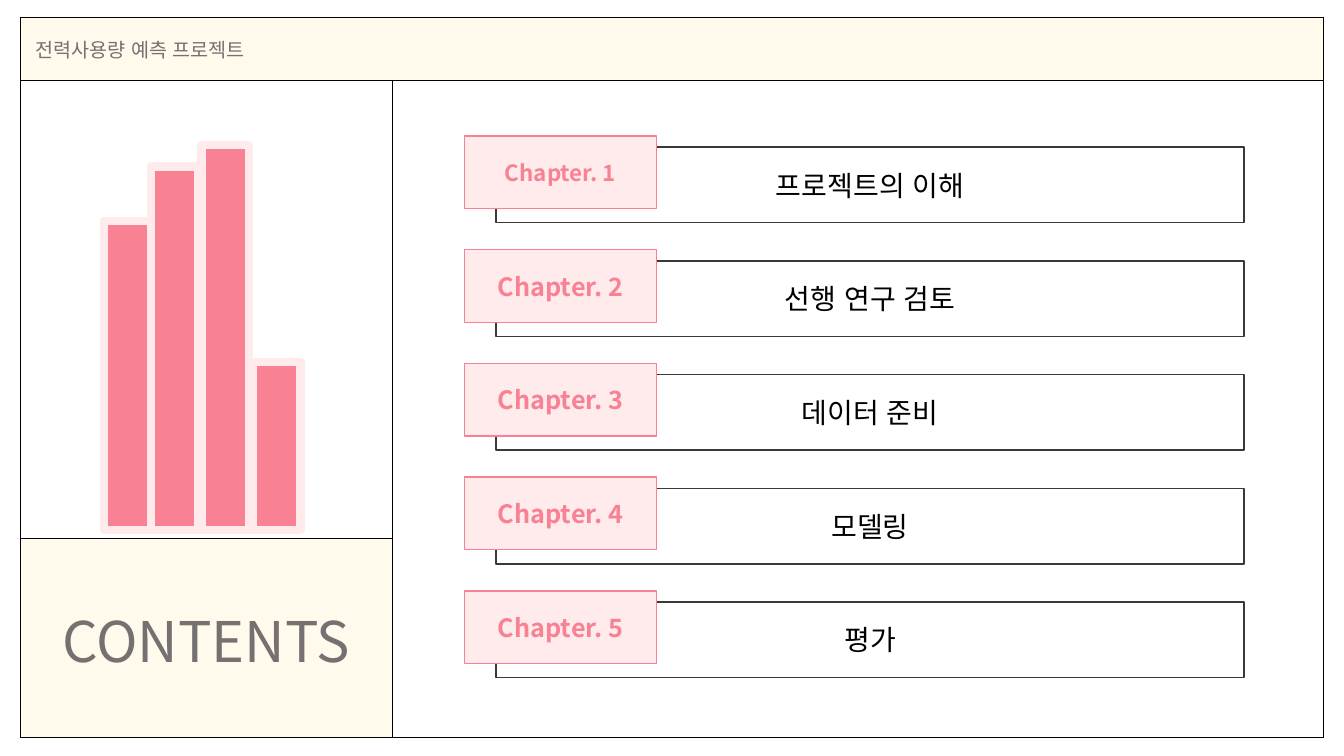
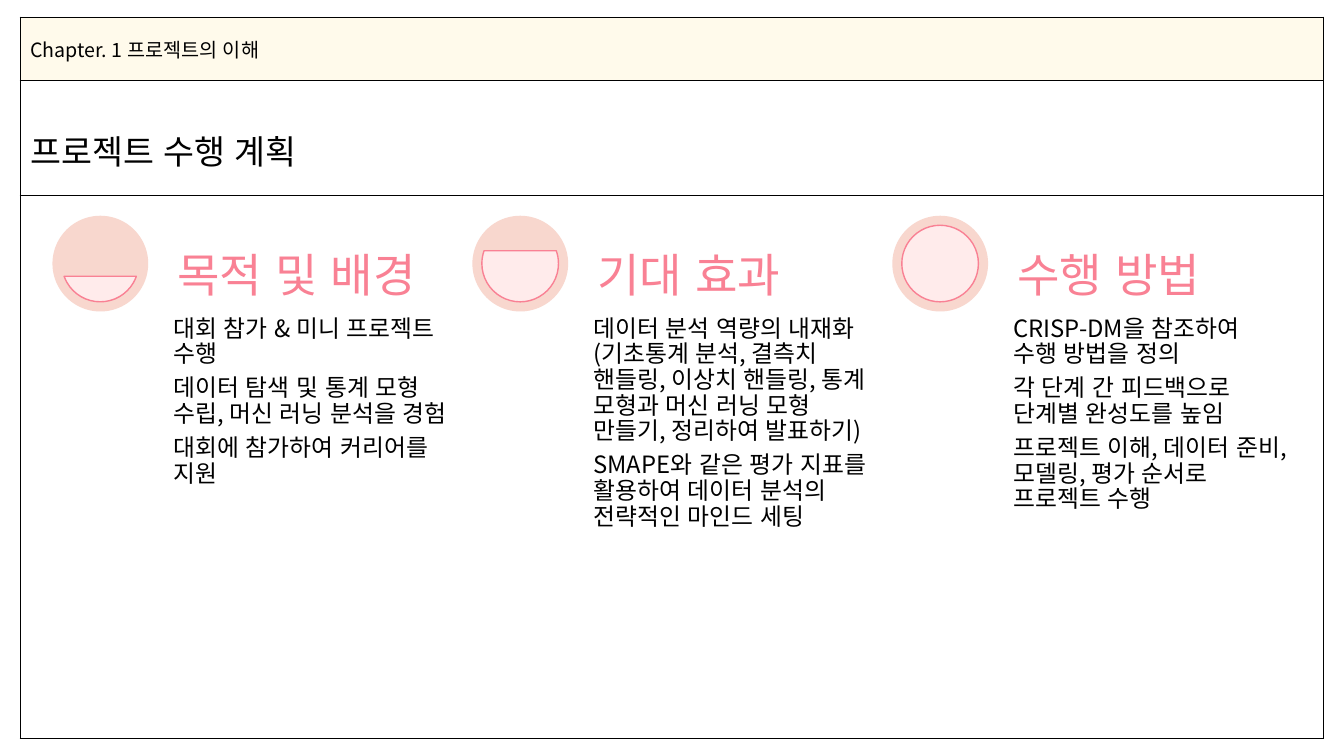
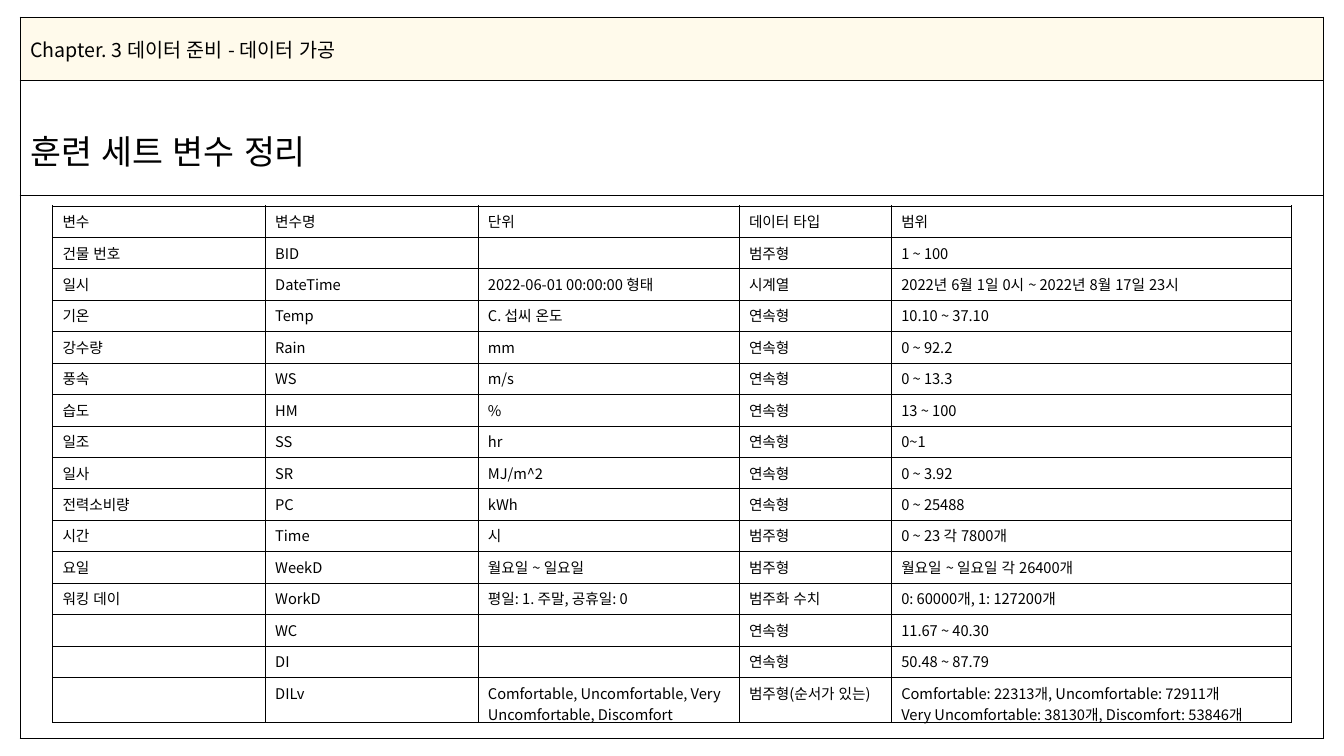
import pptx
import pptx.dml.color
import pptx.enum.lang
import pptx.enum.shapes
import pptx.enum.text
import pptx.oxml
import pptx.oxml.ns
import pptx.util
import lxml.etree

Inches = pptx.util.Inches
Pt = pptx.util.Pt
color = pptx.dml.color.RGBColor.from_string
qn = pptx.oxml.ns.qn
MIDDLE = pptx.enum.text.MSO_ANCHOR.MIDDLE
CENTER = pptx.enum.text.PP_ALIGN.CENTER
SHAPES = pptx.enum.shapes.MSO_SHAPE

FONT = "Noto Sans CJK KR"
BLACK = "000000"
GRAY = "767171"
CHARCOAL = "3B3838"
CREAM = "FFFAEB"
PINK = "F98194"
PALE_PINK = "FFEBEB"
PEACH = "F8D7CE"

FRAME_LEFT, FRAME_TOP, FRAME_WIDTH = 0.2, 0.17, 12.93
HEADER_HEIGHT = 0.63
PAGE_ROWS = [HEADER_HEIGHT, 1.14, 5.39]


def write(text_frame, text, size, text_color=BLACK, bold=False, align=None, spacing=None, after=None):
    text_frame.text = text
    text_frame.word_wrap = True
    for paragraph in text_frame.paragraphs:
        paragraph.alignment = align
        paragraph.line_spacing = spacing
        paragraph.space_after = after
        if not paragraph.runs:
            paragraph._p.get_or_add_endParaRPr().set("sz", str(int(size * 100)))
        for run in paragraph.runs:
            run.font.name = FONT
            run.font.size = Pt(size)
            run.font.bold = bold
            run.font.color.rgb = color(text_color)
            run.font.language_id = pptx.enum.lang.MSO_LANGUAGE_ID.KOREAN
            east_asian = lxml.etree.Element(qn("a:ea"), typeface=FONT)
            run.font._element.find(qn("a:latin")).addnext(east_asian)


def add_grid(slide, left, top, widths, heights, line_width):
    table = slide.shapes.add_table(
        len(heights), len(widths), Inches(left), Inches(top), Inches(sum(widths)), Inches(sum(heights))
    ).table
    table.first_row = False
    table.horz_banding = False
    for column, width in zip(table.columns, widths):
        column.width = Inches(width)
    for row, height in zip(table.rows, heights):
        row.height = Inches(height)
    for cell in table.iter_cells():
        cell.fill.background()
        properties = cell._tc.get_or_add_tcPr()
        for position, side in enumerate(["a:lnL", "a:lnR", "a:lnT", "a:lnB"]):
            border = lxml.etree.Element(qn(side), w=str(Pt(line_width)))
            fill = lxml.etree.SubElement(border, qn("a:solidFill"))
            lxml.etree.SubElement(fill, qn("a:srgbClr"), val=BLACK)
            properties.insert(position, border)
    return table


presentation = pptx.Presentation()
presentation.slide_width = Inches(13.33)
presentation.slide_height = Inches(7.5)
contents_slide, plan_slide, variables_slide = [
    presentation.slides.add_slide(presentation.slide_layouts[6]) for _ in range(3)
]

contents_frame = add_grid(
    contents_slide, FRAME_LEFT, FRAME_TOP, [3.69, FRAME_WIDTH - 3.69], [HEADER_HEIGHT, 4.54, 1.98], 1
)
contents_frame.cell(0, 0).merge(contents_frame.cell(0, 1))
contents_frame.cell(1, 1).merge(contents_frame.cell(2, 1))
header_cell = contents_frame.cell(0, 0)
contents_cell = contents_frame.cell(2, 0)
write(header_cell.text_frame, "전력사용량 예측 프로젝트", 14, GRAY)
header_cell.margin_left = Inches(0.15)
write(contents_cell.text_frame, "CONTENTS", 40, GRAY, align=CENTER)
for cell in [header_cell, contents_cell]:
    cell.fill.solid()
    cell.fill.fore_color.rgb = color(CREAM)
    cell.vertical_anchor = MIDDLE

rectangles = []
chapters = ["프로젝트의 이해", "선행 연구 검토", "데이터 준비", "모델링", "평가"]
for index, chapter in enumerate(chapters):
    top = 1.35 + index * 1.128
    label_size = 16 if index == 0 else 18
    rectangles.append((4.92, top + 0.11, 7.42, 0.75, None, CHARCOAL, 1, chapter, 20, BLACK, False))
    rectangles.append((4.61, top, 1.9, 0.72, PALE_PINK, PINK, 1, f"Chapter. {index + 1}", label_size, PINK, True))
for left, height in [(1.03, 3.07), (1.5, 3.61), (2, 3.82), (2.51, 1.67)]:
    rectangles.append((left, 5.26 - height, 0.47, height, PINK, PALE_PINK, 6, "", 18, BLACK, False))

for left, top, width, height, fill, line, line_width, text, size, text_color, bold in rectangles:
    shape = contents_slide.shapes.add_shape(
        SHAPES.RECTANGLE, Inches(left), Inches(top), Inches(width), Inches(height)
    )
    shape.shadow.inherit = False
    if fill:
        shape.fill.solid()
        shape.fill.fore_color.rgb = color(fill)
    else:
        shape.fill.background()
    shape.line.color.rgb = color(line)
    shape.line.width = Pt(line_width)
    if text:
        write(shape.text_frame, text, size, text_color, bold, CENTER)

pages = [
    (plan_slide, "Chapter. 1 프로젝트의 이해", "프로젝트 수행 계획"),
    (variables_slide, "Chapter. 3 데이터 준비 - 데이터 가공", "훈련 세트 변수 정리"),
]
for slide, header, title in pages:
    frame = add_grid(slide, FRAME_LEFT, FRAME_TOP, [FRAME_WIDTH], PAGE_ROWS, 1)
    header_cell, title_cell = frame.cell(0, 0), frame.cell(1, 0)
    write(header_cell.text_frame, header, 14)
    write(title_cell.text_frame, title, 24, spacing=1.5)
    header_cell.vertical_anchor = title_cell.vertical_anchor = MIDDLE
    header_cell.fill.solid()
    header_cell.fill.fore_color.rgb = color(CREAM)

plans = [
    ("목적 및 배경", (11.68, 96.32), [
        "대회 참가 & 미니 프로젝트 수행",
        "데이터 탐색 및 통계 모형 수립, 머신 러닝 분석을 경험",
        "대회에 참가하여 커리어를 지원",
    ]),
    ("기대 효과", (204.32, 119.68), [
        "데이터 분석 역량의 내재화 (기초통계 분석, 결측치 핸들링, 이상치 핸들링, "
        "통계 모형과 머신 러닝 모형 만들기, 정리하여 발표하기)",
        "SMAPE와 같은 평가 지표를 활용하여 데이터 분석의 전략적인 마인드 세팅",
    ]),
    ("수행 방법", (162, 162), [
        "CRISP-DM을 참조하여 수행 방법을 정의",
        "각 단계 간 피드백으로 단계별 완성도를 높임",
        "프로젝트 이해, 데이터 준비, 모델링, 평가 순서로 프로젝트 수행",
    ]),
]
for index, (heading, chord_angles, points) in enumerate(plans):
    left = 0.52 + index * 4.165
    circle = plan_slide.shapes.add_shape(
        SHAPES.OVAL, Inches(left), Inches(2.14), Inches(0.95), Inches(0.95)
    )
    chord = plan_slide.shapes.add_shape(
        SHAPES.CHORD, Inches(left + 0.095), Inches(2.235), Inches(0.76), Inches(0.76)
    )
    chord.adjustments[0], chord.adjustments[1] = chord_angles
    for shape, fill in [(circle, PEACH), (chord, PALE_PINK)]:
        shape.shadow.inherit = False
        shape.fill.solid()
        shape.fill.fore_color.rgb = color(fill)
    circle.line.fill.background()
    chord.line.color.rgb = color(PINK)
    chord.line.width = Pt(1)

    texts = [
        ("\n".join(points), 3.09, 4.01, 0.05, 17, BLACK, pptx.enum.text.MSO_ANCHOR.TOP),
        (heading, 2.14, 0.95, 0.09, 33, PINK, pptx.enum.text.MSO_ANCHOR.BOTTOM),
    ]
    for text, top, height, inset, size, text_color, anchor in texts:
        text_frame = plan_slide.shapes.add_textbox(
            Inches(left + 1.15), Inches(top), Inches(2.82), Inches(height)
        ).text_frame
        text_frame.margin_left = text_frame.margin_right = Inches(inset)
        text_frame.margin_top = text_frame.margin_bottom = Inches(inset)
        text_frame.vertical_anchor = anchor
        write(text_frame, text, size, text_color, spacing=0.9, after=Pt(size * 0.35))

variables = [
    ("변수", "변수명", "단위", "데이터 타입", "범위"),
    ("건물 번호", "BID", "", "범주형", "1 ~ 100"),
    ("일시", "DateTime", "2022-06-01 00:00:00 형태", "시계열", "2022년 6월 1일 0시 ~ 2022년 8월 17일 23시"),
    ("기온", "Temp", "C. 섭씨 온도", "연속형", "10.10 ~ 37.10"),
    ("강수량", "Rain", "mm", "연속형", "0 ~ 92.2"),
    ("풍속", "WS", "m/s", "연속형", "0 ~ 13.3"),
    ("습도", "HM", "%", "연속형", "13 ~ 100"),
    ("일조", "SS", "hr", "연속형", "0~1"),
    ("일사", "SR", "MJ/m^2", "연속형", "0 ~ 3.92"),
    ("전력소비량", "PC", "kWh", "연속형", "0 ~ 25488"),
    ("시간", "Time", "시", "범주형", "0 ~ 23 각 7800개"),
    ("요일", "WeekD", "월요일 ~ 일요일", "범주형", "월요일 ~ 일요일 각 26400개"),
    ("워킹 데이", "WorkD", "평일: 1. 주말, 공휴일: 0", "범주화 수치", "0: 60000개, 1: 127200개"),
    ("", "WC", "", "연속형", "11.67 ~ 40.30"),
    ("", "DI", "", "연속형", "50.48 ~ 87.79"),
    ("", "DILv", "Comfortable, Uncomfortable, Very Uncomfortable, Discomfort", "범주형(순서가 있는)",
     "Comfortable: 22313개, Uncomfortable: 72911개\nVery Uncomfortable: 38130개, Discomfort: 53846개"),
]
row_heights = [4.68 / 15] * 15 + [0.45]
variables_table = add_grid(variables_slide, 0.52, 2.04, [2.11, 2.11, 2.59, 1.51, 3.97], row_heights, 0.25)
for row, values in zip(variables_table.rows, variables):
    for cell, value in zip(row.cells, values):
        write(cell.text_frame, value, 10.5)

presentation.save("out.pptx")
